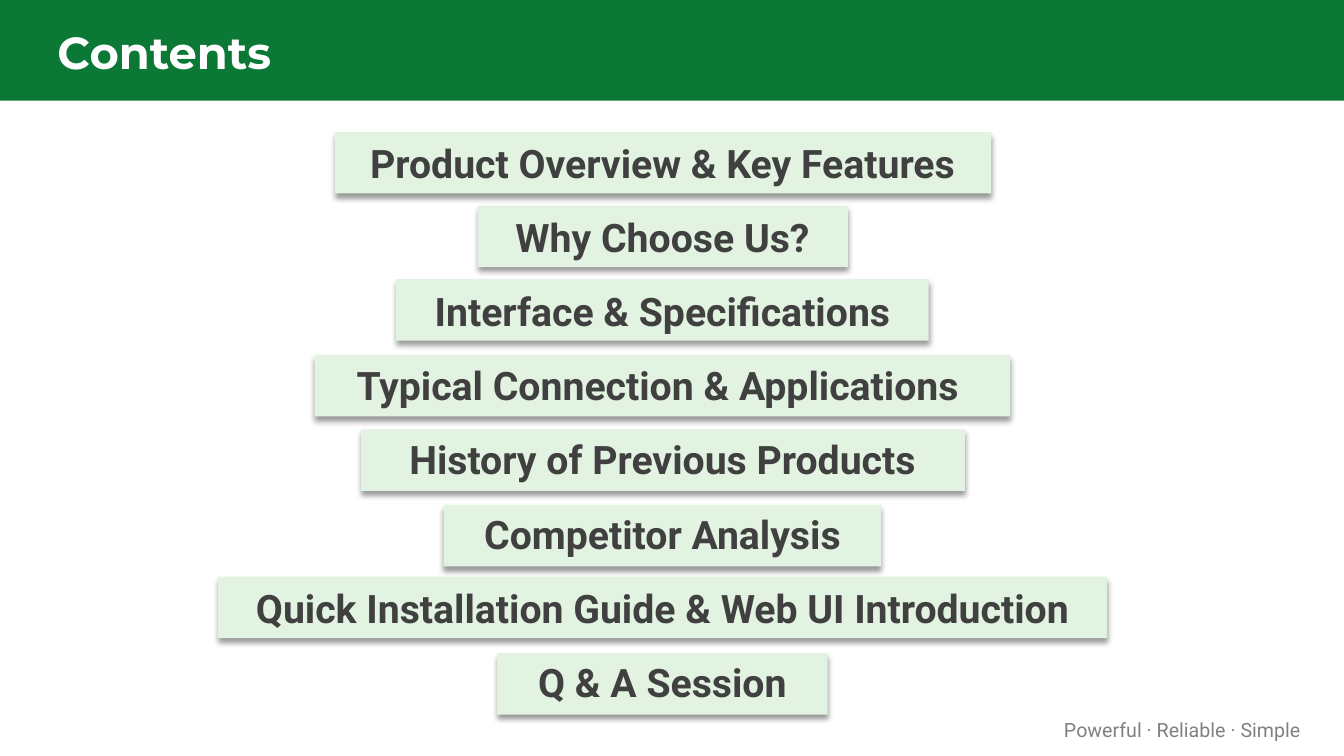
from dataclasses import dataclass

from lxml import etree
from pptx import Presentation
from pptx.dml.color import RGBColor as RGB
from pptx.enum.shapes import MSO_SHAPE as SHAPE
from pptx.enum.text import MSO_ANCHOR as ANCHOR, MSO_AUTO_SIZE as AUTO, PP_ALIGN as ALIGN
from pptx.oxml.ns import qn
from pptx.util import Pt

PX = 9144  # EMU per px, 100 px to the inch


@dataclass(frozen=True)
class Theme:
    green: str = "0B7935"
    pale: str = "E2F3E1"
    white: str = "FFFFFF"
    ink: str = "404040"
    grey: str = "808080"
    head_font: str = "Montserrat"
    body_font: str = "Roboto"
    title_size: int = 32
    item_size: int = 28
    tagline_size: int = 14


T = Theme()
CENTRE, BAR_H = 657, 61

# Agenda line, top and width of the bar behind it
AGENDA = [
    ("Product Overview & Key Features", 131, 651),
    ("Why Choose Us?", 204, 367),
    ("Interface & Specifications", 277, 528),
    ("Typical Connection & Applications ", 352, 690),
    ("History of Previous Products", 426, 599),
    ("Competitor Analysis", 501, 434),
    ("Quick Installation Guide & Web UI Introduction", 572, 882),
    ("Q & A Session", 648, 328),
]

TIGHT = dict(margin_left=7 * PX, margin_right=7 * PX, margin_top=3 * PX,
             margin_bottom=3 * PX, vertical_anchor=ANCHOR.MIDDLE,
             word_wrap=True, auto_size=AUTO.NONE)


def apply(obj, fmt):
    for name, value in fmt.items():
        setattr(obj, name, value)


def place(sp, x, y, w, h):
    apply(sp, dict(left=x * PX, top=y * PX, width=w * PX, height=h * PX))


def add_bar(s, x, y, w, h, color):
    sp = s.shapes.add_shape(SHAPE.RECTANGLE, x * PX, y * PX, w * PX, h * PX)
    sp.fill.solid()
    sp.fill.fore_color.rgb = RGB.from_string(color)
    sp.line.fill.background()
    sp.shadow.inherit = False
    return sp


def add_shadow(sp):
    effects = sp._element.spPr.find(qn("a:effectLst"))
    shadow = etree.SubElement(effects, qn("a:outerShdw"), blurRad=str(Pt(4)),
                              dist=str(Pt(3)), dir="5400000", rotWithShape="0")
    color = etree.SubElement(shadow, qn("a:srgbClr"), val="000000")
    etree.SubElement(color, qn("a:alpha"), val="40000")


def write(sp, lines, frame, para, font, color):
    tf = sp.text_frame
    apply(tf, frame)
    for i, line in enumerate(lines):
        p = tf.add_paragraph() if i else tf.paragraphs[0]
        apply(p, para)
        r = p.add_run()
        r.text = line
        apply(r.font, font)
        r.font.color.rgb = RGB.from_string(color)


def add_text(s, x, y, w, h, *content):
    sp = s.shapes.add_textbox(x * PX, y * PX, w * PX, h * PX)
    write(sp, *content)


def add_header(s, title):
    # The band goes behind the title placeholder
    band = add_bar(s, 0, 0, 1333, 100, T.green)
    s.shapes.title._element.addprevious(band._element)
    place(s.shapes.title, 50, 18, 1233, 67)
    write(s.shapes.title, [title], TIGHT, dict(alignment=ALIGN.LEFT),
          dict(name=T.head_font, size=Pt(T.title_size), bold=True), T.white)


def add_agenda(s):
    for _, top, width in AGENDA:
        add_shadow(add_bar(s, CENTRE - width // 2, top, width, BAR_H, T.pale))
    add_text(s, 172, 181, 970, 460, [line for line, _, _ in AGENDA], TIGHT,
             dict(alignment=ALIGN.CENTER, line_spacing=Pt(45), space_after=Pt(8)),
             dict(name=T.body_font, size=Pt(T.item_size), bold=True), T.ink)


def add_tagline(s, text):
    add_text(s, 1019, 707, 288, 34, [text],
             dict(word_wrap=True, auto_size=AUTO.SHAPE_TO_FIT_TEXT, margin_right=17 * PX),
             dict(alignment=ALIGN.RIGHT),
             dict(name=T.body_font, size=Pt(T.tagline_size)), T.grey)


def main():
    prs = Presentation()
    apply(prs, dict(slide_width=1333 * PX, slide_height=750 * PX))
    s = prs.slides.add_slide(prs.slide_layouts[5])  # title only
    add_header(s, "Contents")
    add_tagline(s, "Powerful · Reliable · Simple")
    add_agenda(s)
    prs.save("out.pptx")


if __name__ == "__main__":
    main()
